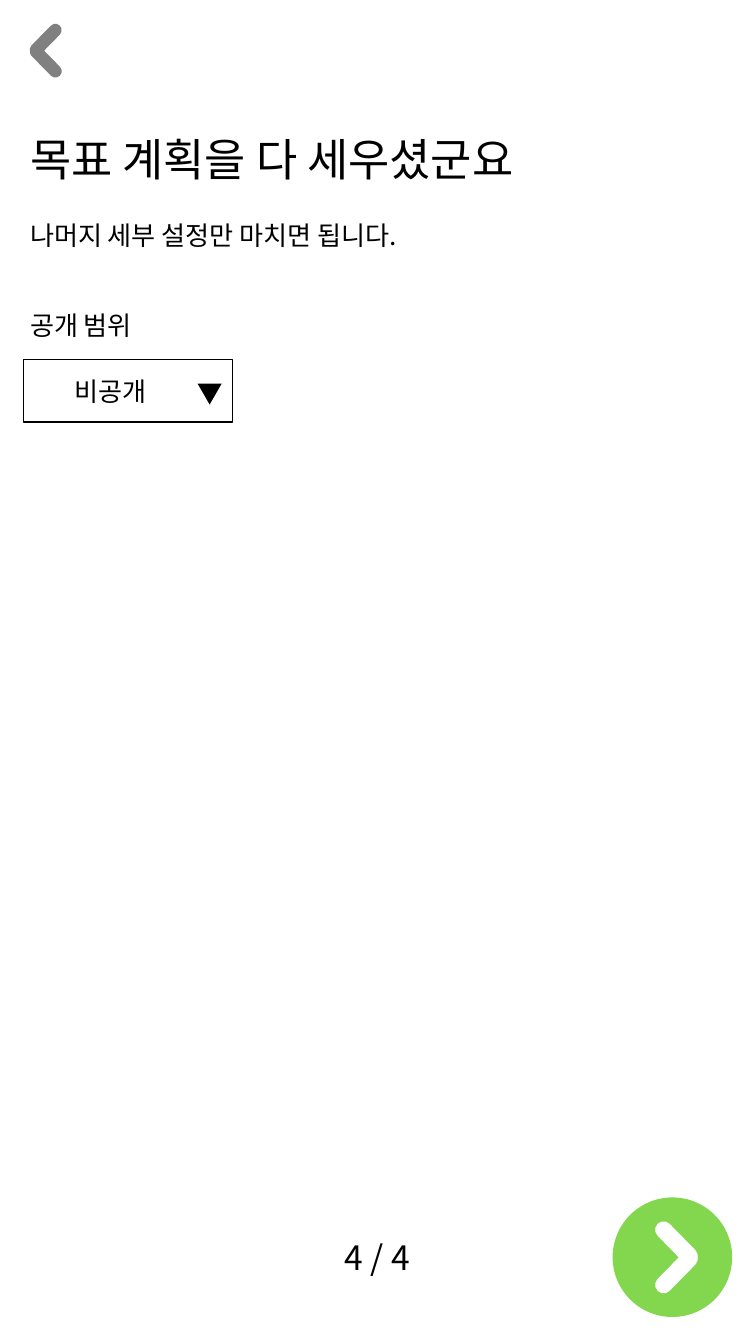
from dataclasses import dataclass

import pptx
import pptx.dml.color
import pptx.enum.shapes
import pptx.enum.text
import pptx.oxml
import pptx.oxml.ns
import pptx.util

Cm = pptx.util.Cm
Pt = pptx.util.Pt
Kind = pptx.enum.shapes.MSO_SHAPE
Align = pptx.enum.text.PP_ALIGN
FONT = "Noto Sans CJK KR"
BLACK, WHITE, GRAY, GREEN = "000000", "FFFFFF", "808080", "83D74E"
LEFT = 0.89


@dataclass
class Box:
    left: float
    top: float
    width: float
    height: float

    def place(self) -> tuple:
        return Cm(self.left), Cm(self.top), Cm(self.width), Cm(self.height)


@dataclass
class Label:
    text: str
    box: Box
    size: int = 28
    wrap: bool = False
    align: Align = Align.LEFT
    space: float = 1.5


@dataclass
class Arrow:
    box: Box
    step: float
    color: str
    turn: float


def color(code: str) -> pptx.dml.color.RGBColor:
    return pptx.dml.color.RGBColor.from_string(code)


def write(frame, text: str, size: int, align: Align, space: float) -> None:
    frame.text = text
    para = frame.paragraphs[0]
    para.alignment = align
    para.line_spacing = space
    run = para.runs[0]
    run.font.size = Pt(size)
    run.font.name = FONT
    run.font.color.rgb = color(BLACK)
    east = pptx.oxml.parse_xml(
        f'<a:ea {pptx.oxml.ns.nsdecls("a")} typeface="{FONT}"/>'
    )
    run.font._element.find(pptx.oxml.ns.qn("a:latin")).addnext(east)


def shape(slide, kind: Kind, box: Box, fill: str, turn: float = 0):
    item = slide.shapes.add_shape(kind, *box.place())
    item.shadow.inherit = False
    item.fill.solid()
    item.fill.fore_color.rgb = color(fill)
    item.line.fill.background()
    item.rotation = turn
    return item


def pill(slide, box: Box, fill: str, turn: float = 0):
    item = shape(slide, Kind.ROUNDED_RECTANGLE, box, fill, turn)
    item.adjustments[0] = 0.5
    return item


def label(slide, data: Label) -> None:
    frame = slide.shapes.add_textbox(*data.box.place()).text_frame
    write(frame, data.text, data.size, data.align, data.space)
    frame.word_wrap = data.wrap
    frame.auto_size = pptx.enum.text.MSO_AUTO_SIZE.SHAPE_TO_FIT_TEXT


def arrow(slide, data: Arrow) -> None:
    box = data.box
    low = Box(box.left, box.top + data.step, box.width, box.height)
    pill(slide, box, data.color, data.turn)
    pill(slide, low, data.color, -data.turn)


LABELS = [
    Label("목표 계획을 다 세우셨군요", Box(LEFT, 3.84, 19.63, 2.97), 48),
    Label("나머지 세부 설정만 마치면 됩니다.", Box(LEFT, 7.59, 15.09, 1.85)),
    Label("공개 범위", Box(LEFT, 10.97, 4.55, 1.85)),
    Label("비공개", Box(1.12, 14.05, 6.15, 1.45), 28, True, Align.CENTER, 1.0),
]
BACK = Arrow(Box(0.97, 1.27, 1.52, 0.48), 0.81, GRAY, -45.6)
NEXT = Arrow(Box(24.56, 46.66, 2.03, 0.64), 1.09, WHITE, 45.6)


def main() -> None:
    deck = pptx.Presentation()
    deck.slide_width, deck.slide_height = Cm(28.58), Cm(50.8)
    slide = deck.slides.add_slide(deck.slide_layouts[6])

    arrow(slide, BACK)
    shape(slide, Kind.OVAL, Box(23.16, 45.26, 4.52, 4.52), GREEN)
    arrow(slide, NEXT)

    page = pill(slide, Box(10.36, 46.66, 7.82, 1.7), WHITE).text_frame
    write(page, "4 / 4", 36, Align.CENTER, 1.0)
    page.vertical_anchor = pptx.enum.text.MSO_ANCHOR.MIDDLE

    field = shape(slide, Kind.RECTANGLE, Box(LEFT, 13.59, 7.9, 2.36), WHITE)
    field.line.color.rgb = color(BLACK)
    field.line.width = Pt(1.5)
    for data in LABELS:
        label(slide, data)
    shape(slide, Kind.ISOSCELES_TRIANGLE, Box(7.47, 14.5, 0.91, 0.79), BLACK, 180)

    deck.save("out.pptx")


if __name__ == "__main__":
    main()
